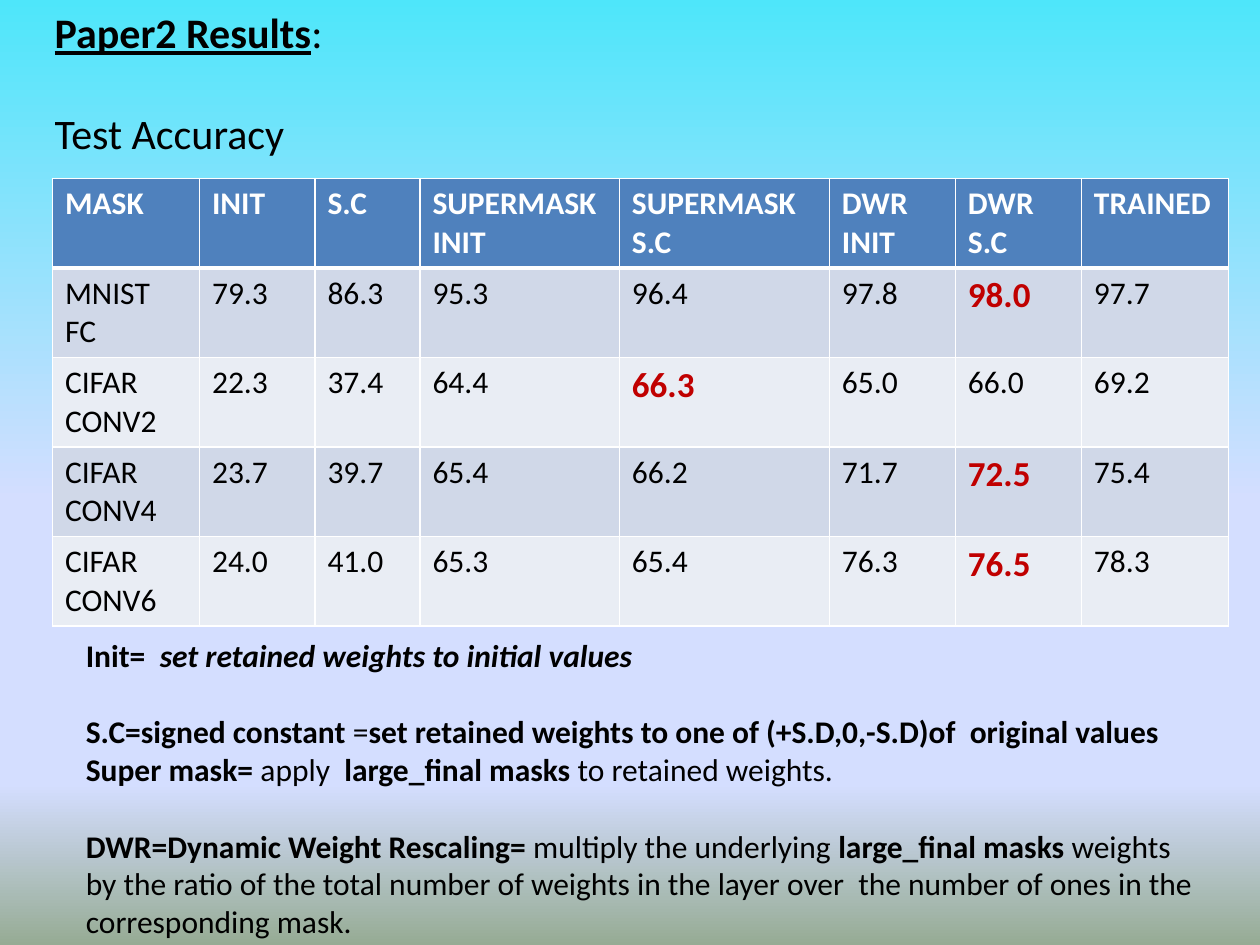
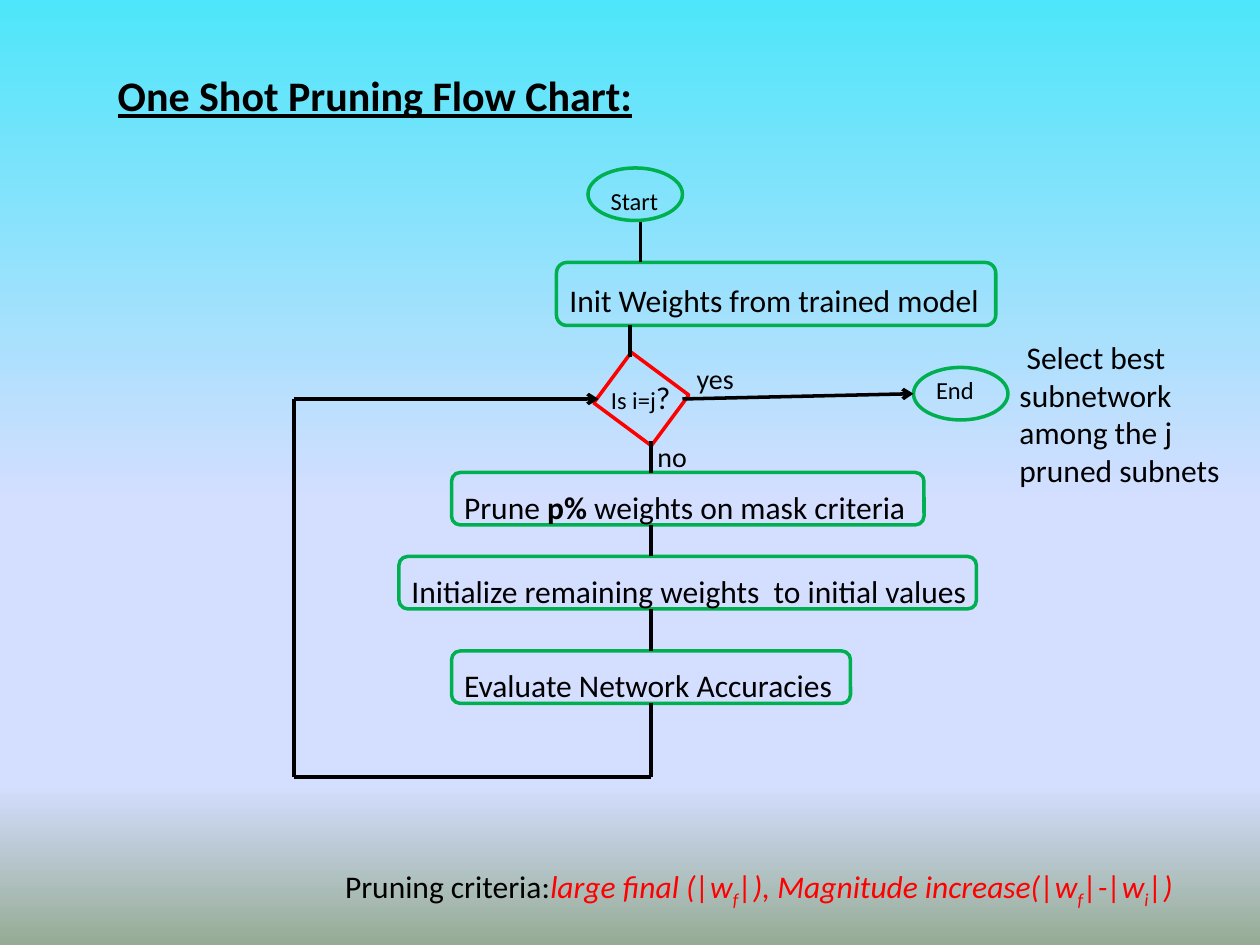
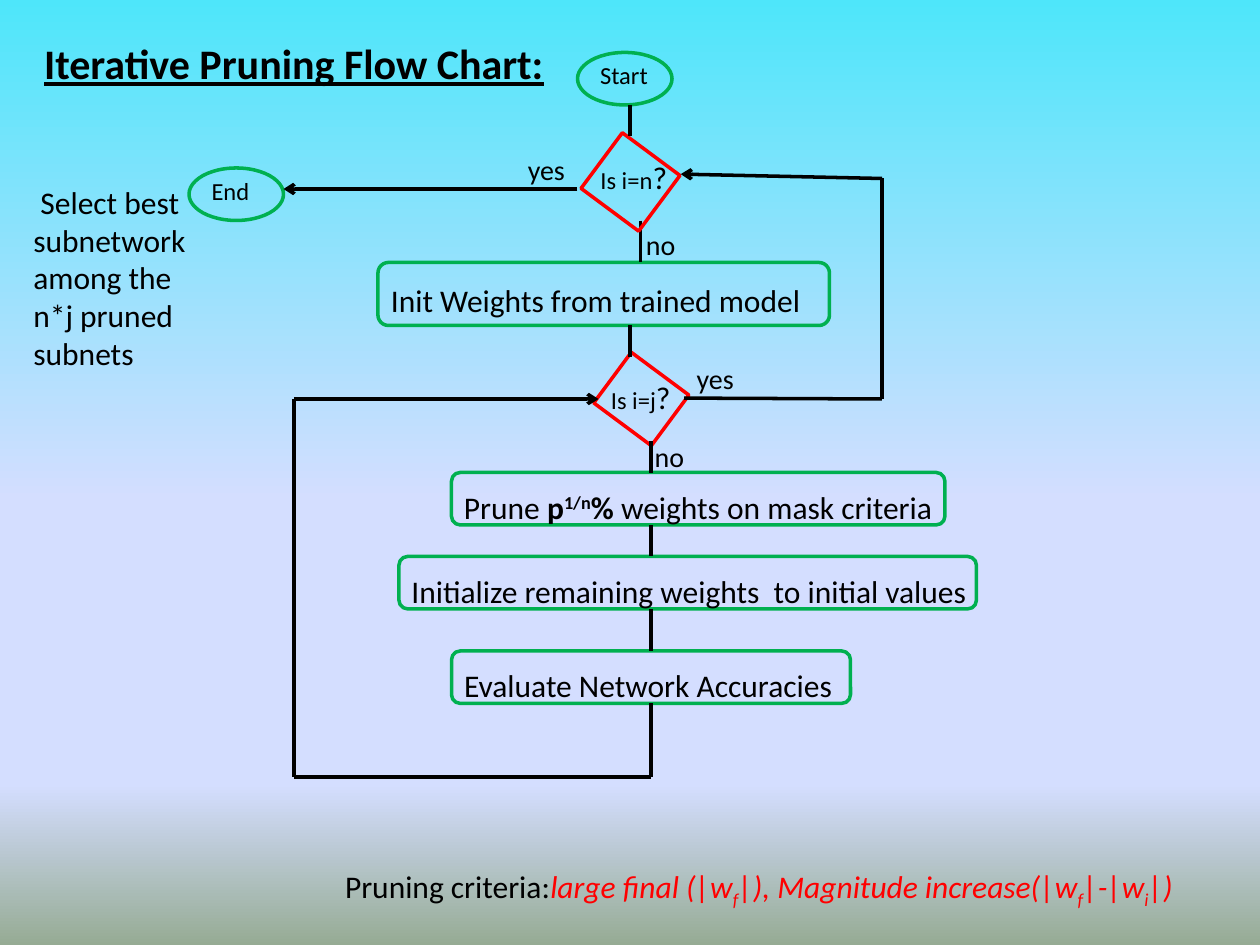
from lxml import etree
from pptx import Presentation
from pptx.dml.color import RGBColor
from pptx.enum import shapes, text
from pptx.oxml import ns
from pptx.util import Pt

FONT = "Calibri"
BLACK = RGBColor(0, 0, 0)
WHITE = RGBColor(255, 255, 255)
RED = RGBColor(255, 0, 0)
DARK_RED = RGBColor(0xC0, 0, 0)
GREEN = RGBColor(0, 0xB0, 0x50)
HEADER_BLUE = RGBColor(0x4F, 0x81, 0xBD)
ROW_DARK = RGBColor(0xD0, 0xD8, 0xE8)
ROW_LIGHT = RGBColor(0xE9, 0xED, 0xF4)
SKY = RGBColor(0x4E, 0xE6, 0xFA)
LAVENDER = RGBColor(0xD4, 0xDE, 0xFF)
MOSS = RGBColor(0x96, 0xAB, 0x94)
GRADIENT = [(0, SKY), (53, LAVENDER), (83, LAVENDER), (100, MOSS)]

BOLD = {"bold": True}
ITALIC = {"bold": True, "italic": True}
TITLE = {"bold": True, "underline": True}
CRITERION = {"italic": True, "color": RED}
SUBSCRIPT = {**CRITERION, "baseline": -25}

HEADERS = ["MASK", "INIT", "S.C", "SUPERMASK\nINIT", "SUPERMASK\nS.C",
           "DWR\nINIT", "DWR\nS.C", "TRAINED"]
COLUMN_WIDTHS = [84, 66, 60, 114, 120, 72, 72, 84]
ACCURACIES = [
    ["MNIST FC", "79.3", "86.3", "95.3", "96.4", "97.8", "98.0", "97.7"],
    ["CIFAR CONV2", "22.3", "37.4", "64.4", "66.3", "65.0", "66.0", "69.2"],
    ["CIFAR CONV4", "23.7", "39.7", "65.4", "66.2", "71.7", "72.5", "75.4"],
    ["CIFAR CONV6", "24.0", "41.0", "65.3", "65.4", "76.3", "76.5", "78.3"],
]
BEST = {"98.0", "66.3", "72.5", "76.5"}
ROW_HEIGHT = 50.4

DEFINITIONS = [
    [("Init=  ", BOLD), ("set retained weights to initial values", ITALIC)],
    [("S.C=signed constant", BOLD), (" =", {}),
     ("set retained weights to one of (+S.D,0,-S.D)of  original values", BOLD)],
    [("Super mask= ", BOLD), ("apply  ", {}), ("large_final masks", BOLD),
     (" to retained weights.", {})],
    [("DWR=Dynamic Weight Rescaling=", BOLD), (" multiply the underlying ", {}),
     ("large_final masks", BOLD),
     (" weights  by the ratio of the total number of weights in the layer over"
      "  the number of ones in the corresponding mask.", {})],
]
PRUNING_CRITERIA = [
    (" Pruning criteria:", {}), ("large final (|w", CRITERION), ("f", SUBSCRIPT),
    ("|), Magnitude increase(|w", CRITERION), ("f", SUBSCRIPT),
    ("|-|w", CRITERION), ("i", SUBSCRIPT), ("|)", CRITERION),
]
SHARED_LINES = [
    (372, 402, 372, 444), (168, 228, 168, 444), (168, 444, 372, 444),
    (366, 126, 366, 150), (360, 186, 360, 204), (372, 252, 372, 270),
    (372, 300, 372, 318), (372, 348, 372, 372),
]


def set_background(master):
    fill = master.background.fill
    fill.gradient()
    fill.gradient_angle = 270
    stops = next(master.element.iter(ns.qn("a:gsLst")))
    for stop in list(stops):
        stops.remove(stop)
    for percent, color in GRADIENT:
        stop = etree.SubElement(stops, ns.qn("a:gs"), pos=str(percent * 1000))
        etree.SubElement(stop, ns.qn("a:srgbClr"), val=str(color))


def style_paragraph(paragraph, size, color=BLACK, bold=False):
    paragraph.alignment = text.PP_ALIGN.LEFT
    font = paragraph.font
    font.name, font.size, font.bold = FONT, Pt(size), bold
    font.color.rgb = color


def write_runs(paragraph, runs, size):
    style_paragraph(paragraph, size)
    for words, style in runs:
        run = paragraph.add_run()
        run.text = words
        for name, value in style.items():
            if name == "color":
                run.font.color.rgb = value
            elif name == "baseline":
                run._r.get_or_add_rPr().set("baseline", str(value * 1000))
            elif name == "size":
                run.font.size = Pt(value)
            else:
                setattr(run.font, name, value)


def write_paragraphs(frame, paragraphs, size, gaps=None):
    frame.word_wrap = True
    frame.auto_size = text.MSO_AUTO_SIZE.NONE
    frame.vertical_anchor = text.MSO_ANCHOR.TOP
    for index, runs in enumerate(paragraphs):
        paragraph = frame.add_paragraph() if index else frame.paragraphs[0]
        write_runs(paragraph, runs, size)
        if gaps:
            paragraph.space_before = Pt(gaps[index])


def add_slide(presentation, left, top, width, height, paragraphs, gaps=None):
    slide = presentation.slides.add_slide(presentation.slide_layouts[5])
    title = slide.shapes.title
    title.left, title.top, title.width, title.height = map(Pt, (left, top, width, height))
    write_paragraphs(title.text_frame, paragraphs, 24, gaps)
    return slide


def add_text(slide, left, top, width, height, paragraphs, size=18, gaps=None):
    box = slide.shapes.add_textbox(*map(Pt, (left, top, width, height)))
    write_paragraphs(box.text_frame, paragraphs, size, gaps)


def add_label(slide, left, top, words):
    add_text(slide, left, top, 54, 26.6, [[(words, {})]], 16)


def add_outline(slide, kind, left, top, width, height, color):
    shape = slide.shapes.add_shape(kind, *map(Pt, (left, top, width, height)))
    shape.shadow.inherit = False
    shape.fill.background()
    shape.line.color.rgb = color
    shape.line.width = Pt(2)
    return shape


def fill_outline(shape, runs, size, left_inset, top_inset):
    frame = shape.text_frame
    frame.margin_left, frame.margin_top = Pt(left_inset), Pt(top_inset)
    frame.margin_right = frame.margin_bottom = 0
    write_paragraphs(frame, [runs], size)


def add_step(slide, left, top, width, height, runs):
    shape = add_outline(slide, shapes.MSO_SHAPE.ROUNDED_RECTANGLE,
                        left, top, width, height, GREEN)
    fill_outline(shape, runs, 18, 5.7, height / 4 if height > 30 else 7.2)


def add_terminal(slide, left, top, words, top_inset=0):
    shape = add_outline(slide, shapes.MSO_SHAPE.OVAL, left, top, 54, 30, GREEN)
    fill_outline(shape, [(words, {})], 14, 5, top_inset)


def add_decision(slide, left, top, width, words, label_left, label_top):
    shape = add_outline(slide, shapes.MSO_SHAPE.PARALLELOGRAM, left, top, width, 41, RED)
    shape.adjustments[0] = 0
    shape.rotation = 306.6
    add_text(slide, label_left, label_top, 60, 28.8,
             [[(words, {"size": 14}), ("?", {"size": 18})]])


def add_line(slide, start_x, start_y, end_x, end_y, arrow=False):
    line = slide.shapes.add_connector(
        shapes.MSO_CONNECTOR.STRAIGHT, *map(Pt, (start_x, start_y, end_x, end_y)))
    line.line.color.rgb = BLACK
    line.line.width = Pt(2)
    if arrow:
        etree.SubElement(line.line._get_or_add_ln(), ns.qn("a:tailEnd"), type="arrow")
    etree.SubElement(line._element.spPr, ns.qn("a:effectLst"))


def set_borders(cell, bottom_width):
    properties = cell._tc.get_or_add_tcPr()
    for index, (side, width) in enumerate(
            [("lnL", 1), ("lnR", 1), ("lnT", 1), ("lnB", bottom_width)]):
        border = etree.Element(ns.qn(f"a:{side}"), w=str(Pt(width)))
        fill = etree.SubElement(border, ns.qn("a:solidFill"))
        etree.SubElement(fill, ns.qn("a:srgbClr"), val=str(WHITE))
        properties.insert(index, border)


def add_accuracy_table(slide):
    rows = [HEADERS] + ACCURACIES
    table = slide.shapes.add_table(
        len(rows), len(HEADERS), Pt(30), Pt(102),
        Pt(sum(COLUMN_WIDTHS)), Pt(ROW_HEIGHT * len(rows))).table
    table.horz_banding = False
    for column, width in zip(table.columns, COLUMN_WIDTHS):
        column.width = Pt(width)
    for row_index, values in enumerate(rows):
        table.rows[row_index].height = Pt(ROW_HEIGHT)
        header = row_index == 0
        row_color = HEADER_BLUE if header else ROW_DARK if row_index % 2 else ROW_LIGHT
        for column_index, value in enumerate(values):
            cell = table.cell(row_index, column_index)
            cell.text = value
            cell.fill.solid()
            cell.fill.fore_color.rgb = row_color
            set_borders(cell, 3 if header else 1)
            best = value in BEST
            color = WHITE if header else DARK_RED if best else BLACK
            for paragraph in cell.text_frame.paragraphs:
                style_paragraph(paragraph, 20 if best else 18, color, header or best)


def add_pruning_loop(slide, init_left, init_width, prune_width, prune_runs):
    add_step(slide, init_left, 150, init_width, 36,
             [("Init Weights from trained model", {})])
    add_step(slide, 258, 270, prune_width, 30, prune_runs)
    add_step(slide, 228, 318, 330, 30,
             [("Initialize remaining weights  to initial values", {})])
    add_step(slide, 258, 372, 228, 30, [("Evaluate Network Accuracies", {})])
    add_decision(slide, 348.5, 207.5, 36, "Is i=j", 342, 212.4)
    for ends in SHARED_LINES:
        add_line(slide, *ends)
    add_line(slide, 168, 228, 342, 228, arrow=True)
    add_label(slide, 391, 203, "yes")
    add_text(slide, 186, 492, 519, 29, [PRUNING_CRITERIA])


def build_results(presentation):
    slide = add_slide(presentation, 24, 0, 200, 96,
                      [[("Paper2 Results", TITLE), (":", {})], [("Test Accuracy", {})]],
                      gaps=[0, 29])
    add_accuracy_table(slide)
    add_text(slide, 42, 360, 654, 181, DEFINITIONS, gaps=[0, 22, 0, 22])


def build_one_shot(presentation):
    slide = add_slide(presentation, 60, 36, 330, 36,
                      [[("One Shot Pruning Flow Chart:", TITLE)]])
    add_pruning_loop(slide, 318, 251, 270,
                     [("Prune ", {}), ("p% ", BOLD), ("weights on mask criteria", {})])
    add_terminal(slide, 336, 96, "Start", top_inset=6)
    add_terminal(slide, 522, 210, "End")
    add_line(slide, 390, 228, 522, 225, arrow=True)
    add_label(slide, 368.6, 247.7, "no")
    add_text(slide, 575.5, 189.5, 138, 94,
             [[(" Select best subnetwork among the j pruned subnets", {})]])


def build_iterative(presentation):
    slide = add_slide(presentation, 18, 18, 312, 36,
                      [[("Iterative Pruning Flow Chart:", TITLE)]])
    add_pruning_loop(slide, 216, 258, 282,
                     [("Prune ", {}), ("p", BOLD), ("1/n", {**BOLD, "baseline": 30}),
                      ("% ", BOLD), ("weights on mask criteria", {})])
    add_terminal(slide, 330, 30, "Start")
    add_terminal(slide, 108, 96, "End")
    add_decision(slide, 340.5, 83.5, 39.6, "Is i=n", 336, 87)
    add_line(slide, 360, 60, 360, 78)
    add_line(slide, 330, 108, 162, 108, arrow=True)
    add_line(slide, 504, 102, 389, 99.5, arrow=True)
    add_line(slide, 504, 102, 504, 228)
    add_line(slide, 391, 227.5, 504, 228)
    add_label(slide, 367, 247.7, "no")
    add_label(slide, 362, 126.7, "no")
    add_label(slide, 294.5, 83.5, "yes")
    add_text(slide, 12, 101, 106.5, 117,
             [[(" Select best subnetwork among the n*j pruned subnets", {})]])


def main():
    presentation = Presentation()
    presentation.slide_width, presentation.slide_height = Pt(720), Pt(540)
    set_background(presentation.slide_master)
    build_results(presentation)
    build_one_shot(presentation)
    build_iterative(presentation)
    presentation.save("out.pptx")


if __name__ == "__main__":
    main()
